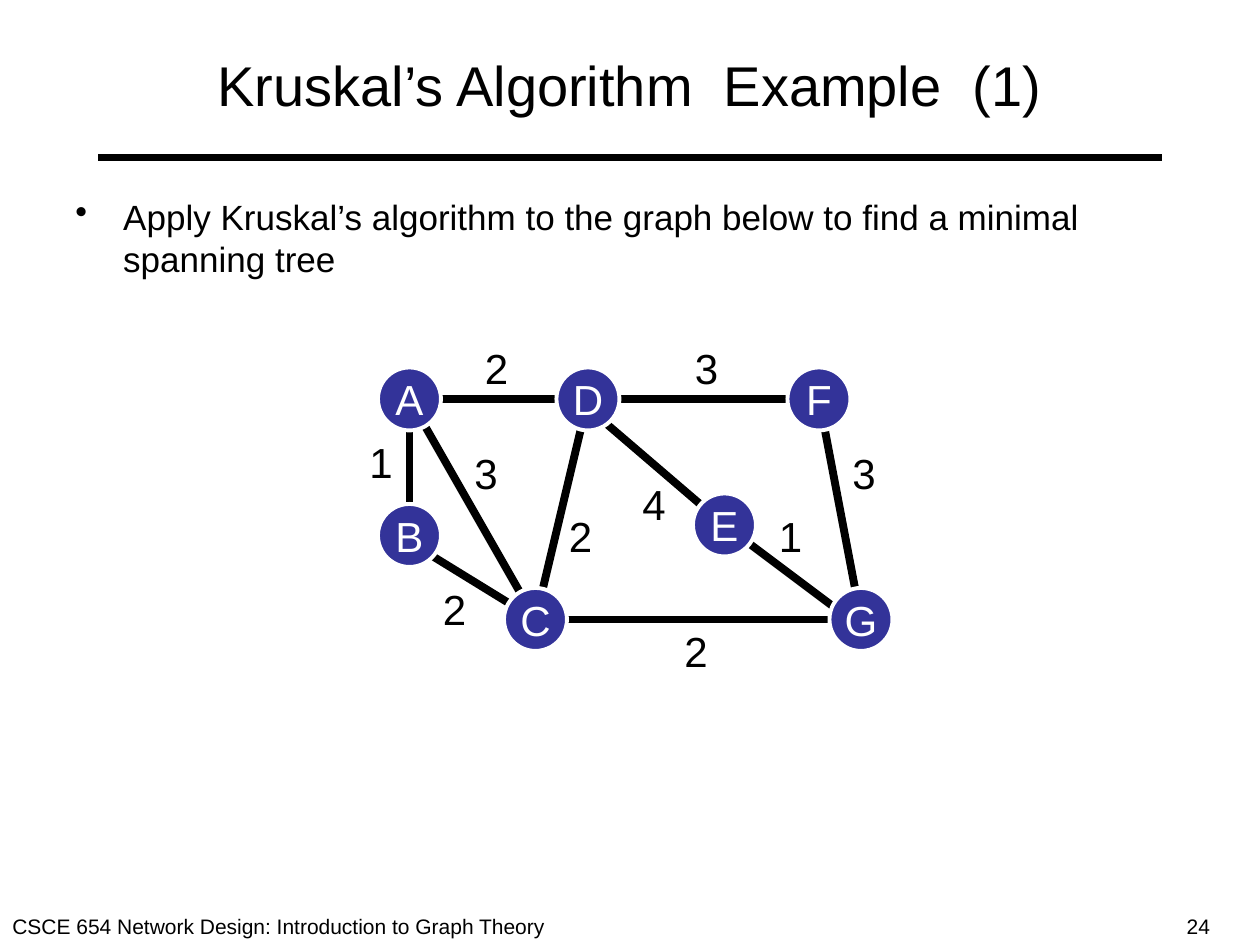
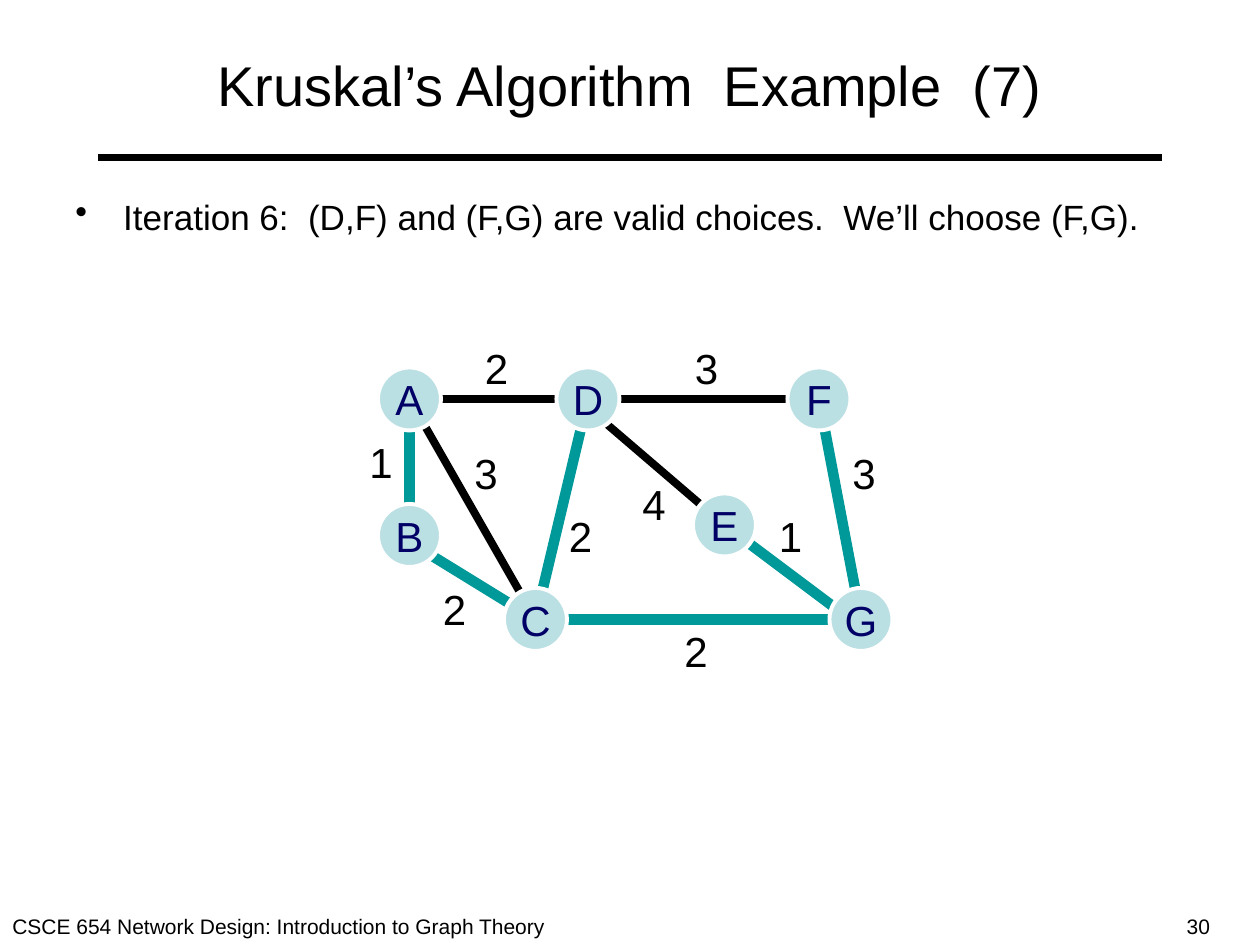
import lxml.etree
import pptx
import pptx.dml.color
import pptx.enum.shapes
import pptx.enum.text
import pptx.oxml.ns
import pptx.util

RGB = pptx.dml.color.RGBColor
ALIGN = pptx.enum.text.PP_ALIGN
ANCHOR = pptx.enum.text.MSO_ANCHOR

# Colours and font
BLACK = RGB(0x00, 0x00, 0x00)
WHITE = RGB(0xFF, 0xFF, 0xFF)
INDIGO = RGB(0x33, 0x33, 0x99)
PALE = RGB(0xBB, 0xE0, 0xE3)
NAVY = RGB(0x00, 0x00, 0x66)
TEAL = RGB(0x00, 0x99, 0x99)
FONT = "Arial"

# Content; graph places are (column, row) on a grid of 12 cells to the inch
FOOTER = "CSCE 654 Network Design: Introduction to Graph Theory"
TITLE = "Kruskal’s Algorithm  Example  ({})"

NODES = {
    "A": (39, 38), "E": (69, 50), "D": (56, 38), "C": (51, 59),
    "G": (82, 59), "F": (78, 38), "B": (39, 51),
}

# ends, weight, corner of the weight's box, column shift of each end
EDGES = [
    ("GF", 3, (80, 42), (0, 0)),
    ("GE", 1, (73, 48), (-1, 0)),
    ("GC", 2, (64, 59), (0, 0)),
    ("FD", 3, (65, 32), (0, 0)),
    ("CD", 2, (53, 48), (0, 0)),
    ("AC", 3, (44, 42), (0, 0)),
    ("DA", 2, (45, 32), (0, 0)),
    ("BA", 1, (34, 41), (0, 0)),
    ("ED", 4, (60, 45), (0, -1)),
    ("BC", 2, (41, 55), (-1, 0)),
]

SLIDES = [
    {
        "step": 1, "page": 24, "depth": 5.2,
        "text": "Apply Kruskal’s algorithm to the graph below "
                "to find a minimal spanning tree",
        "fill": INDIGO, "ink": WHITE, "tree": [],
    },
    {
        "step": 7, "page": 30, "depth": 0.98,
        "text": "Iteration 6:  (D,F) and (F,G) are valid choices.  "
                "We’ll choose (F,G).",
        "fill": PALE, "ink": NAVY,
        "tree": ["GF", "GE", "GC", "CD", "BA", "BC"],
    },
]

WIDE, HIGH = 10, 7.5
CELL = 1 / 12
NODE = 6 * CELL


def inch(*vals):
    return [pptx.util.Inches(val) for val in vals]


def write(frame, text, size, ink=BLACK, align=ALIGN.LEFT):
    para = frame.paragraphs[0]
    para.alignment = align
    run = para.add_run()
    run.text = text
    run.font.name = FONT
    run.font.size = pptx.util.Pt(size)
    run.font.color.rgb = ink
    return para


def label(slide, place, text, size, align=ALIGN.LEFT, anchor=ANCHOR.TOP):
    frame = slide.shapes.add_textbox(*inch(*place)).text_frame
    frame.word_wrap = True
    frame.vertical_anchor = anchor
    return write(frame, text, size, align=align)


def stroke(slide, start, end, ink=BLACK, width=4.5):
    kind = pptx.enum.shapes.MSO_CONNECTOR.STRAIGHT
    line = slide.shapes.add_connector(kind, *inch(*start, *end))
    line.line.color.rgb = ink
    line.line.width = pptx.util.Pt(width)
    props = line._element.spPr
    lxml.etree.SubElement(props, pptx.oxml.ns.qn("a:effectLst"))


def bullet(para, indent):
    props = para._p.get_or_add_pPr()
    props.set("marL", str(indent))
    props.set("indent", str(-indent))
    mark = lxml.etree.SubElement(props, pptx.oxml.ns.qn("a:buChar"))
    mark.set("char", "•")


def frame_up(slide, item):
    # Title, rule, bullet and footer
    margin, rule = 0.05 * WIDE, 0.078 * WIDE
    stroke(slide, (rule, HIGH / 6), (WIDE - rule, HIGH / 6))
    foot = 0.96 * HIGH
    label(slide, (0, foot, WIDE / 2, 0.3), FOOTER, 12)
    label(slide, (9.32, foot, WIDE - 9.32, 0.3), str(item["page"]), 12)
    span = WIDE - 2 * margin
    label(slide, (margin, 2 * CELL, span, 1), TITLE.format(item["step"]), 32,
          ALIGN.CENTER, ANCHOR.MIDDLE)
    para = label(slide, (margin, HIGH / 5, span, item["depth"]),
                 item["text"], 20)
    para.space_before = pptx.util.Pt(5)
    bullet(para, pptx.util.Inches(0.38))


def draw(slide, item):
    # Edges first, so that the nodes cover their ends
    for pair, _, _, shifts in EDGES:
        ends = [((NODES[name][0] + shift) * CELL, NODES[name][1] * CELL)
                for name, shift in zip(pair, shifts)]
        style = (TEAL, 6) if pair in item["tree"] else (BLACK, 4.5)
        stroke(slide, *ends, *style)

    # Nodes
    for name, (col, row) in NODES.items():
        place = (col * CELL - NODE / 2, row * CELL - NODE / 2, NODE, NODE)
        node = slide.shapes.add_shape(
            pptx.enum.shapes.MSO_SHAPE.OVAL, *inch(*place))
        node.shadow.inherit = False
        node.fill.solid()
        node.fill.fore_color.rgb = item["fill"]
        node.line.color.rgb = WHITE
        node.line.width = pptx.util.Pt(2.25)
        frame = node.text_frame
        frame.word_wrap = False
        frame.vertical_anchor = ANCHOR.MIDDLE
        write(frame, name, 24, item["ink"], ALIGN.CENTER)

    # Weights
    for _, weight, (col, row), _ in EDGES:
        label(slide, (col * CELL, row * CELL, 0.4, 0.5), str(weight), 24)


def main():
    deck = pptx.Presentation()
    deck.slide_width, deck.slide_height = inch(WIDE, HIGH)
    for item in SLIDES:
        slide = deck.slides.add_slide(deck.slide_layouts[6])
        frame_up(slide, item)
        draw(slide, item)
    deck.save("out.pptx")


if __name__ == "__main__":
    main()
